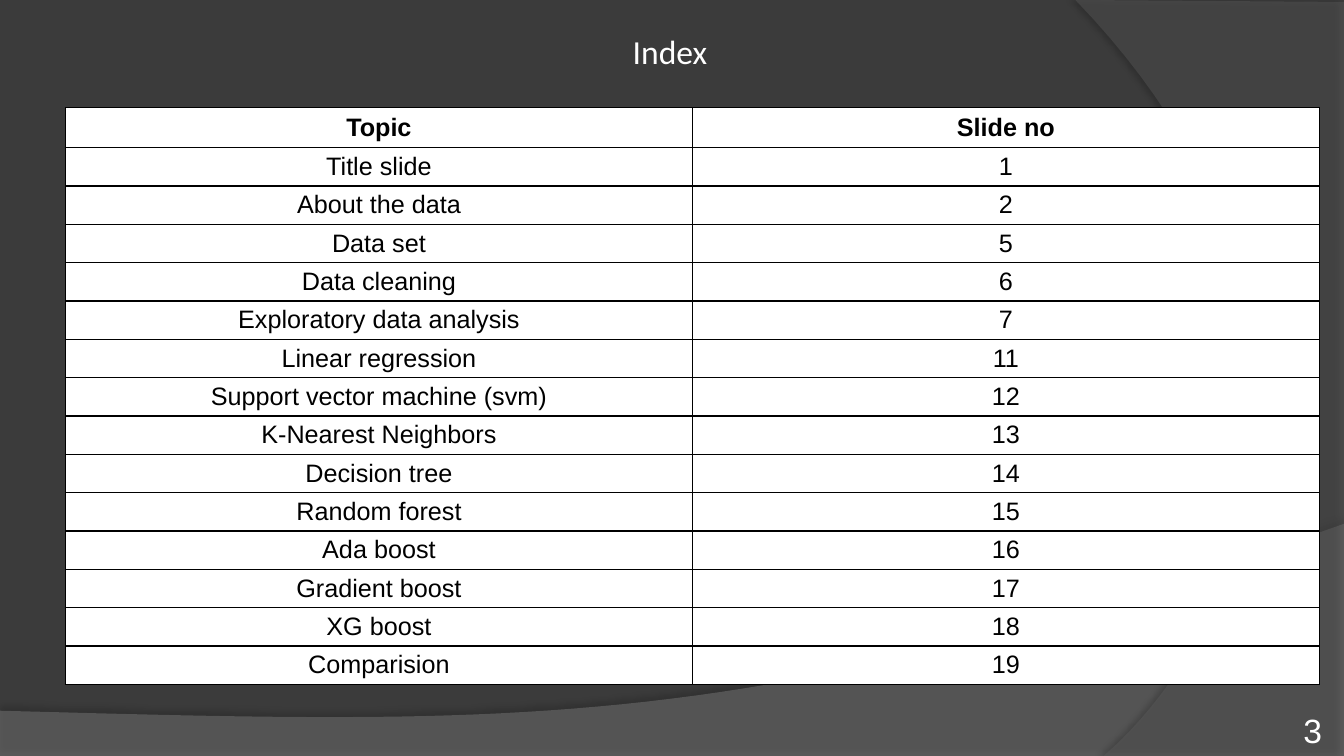
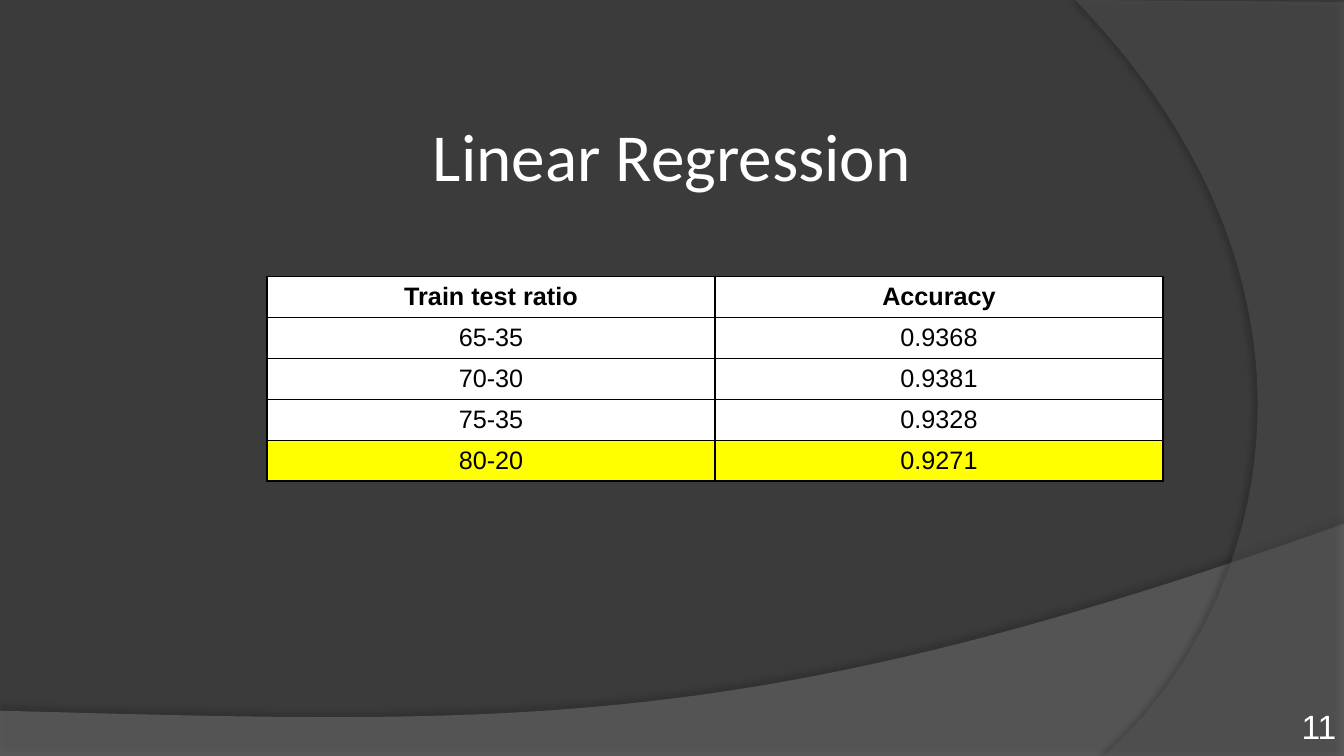
from lxml import etree
from pptx import Presentation
from pptx.dml.color import RGBColor
from pptx.enum.text import MSO_ANCHOR, PP_ALIGN
from pptx.oxml.ns import qn
from pptx.util import Cm, Pt

CENTER, RIGHT = PP_ALIGN.CENTER, PP_ALIGN.RIGHT
TOP, MIDDLE, BOTTOM = MSO_ANCHOR.TOP, MSO_ANCHOR.MIDDLE, MSO_ANCHOR.BOTTOM

SLIDE_WIDTH, SLIDE_HEIGHT = 33.87, 19.05
BACKGROUND, WAVE, ARC = "3B3B3B", "7F7F7F", "5E5E5E"
WHITE, BLACK, YELLOW = "FFFFFF", "000000", "FFFF00"
TITLE_FONT, BODY_FONT = "Calibri", "Arial"
CURVE_STEPS = 48

INDEX_ROWS = [
    ("Topic", "Slide no"),
    ("Title slide", "1"),
    ("About the data", "2"),
    ("Data set", "5"),
    ("Data cleaning", "6"),
    ("Exploratory data analysis", "7"),
    ("Linear regression", "11"),
    ("Support vector machine (svm)", "12"),
    ("K-Nearest Neighbors", "13"),
    ("Decision tree", "14"),
    ("Random forest", "15"),
    ("Ada boost", "16"),
    ("Gradient boost", "17"),
    ("XG boost", "18"),
    ("Comparision", "19"),
]
ACCURACY_ROWS = [
    ("Train test ratio", "Accuracy"),
    ("65-35", "0.9368"),
    ("70-30", "0.9381"),
    ("75-35", "0.9328"),
    ("80-20", "0.9271"),
]


def color(hex_string):
    return RGBColor.from_string(hex_string)


def set_fill(target, hex_string):
    target.fill.solid()
    target.fill.fore_color.rgb = color(hex_string)


def add_run(paragraph, text, size, font, hex_string, bold=False):
    run = paragraph.add_run()
    run.text = text
    run.font.size = Pt(size)
    run.font.name = font
    run.font.bold = bold
    run.font.color.rgb = color(hex_string)


def curve_points(start, control_1, control_2, end):
    """Points along a cubic Bezier curve, without its start."""
    points = []
    for step in range(1, CURVE_STEPS + 1):
        t = step / CURVE_STEPS
        weights = ((1 - t) ** 3, 3 * t * (1 - t) ** 2, 3 * t * t * (1 - t), t ** 3)
        anchors = (start, control_1, control_2, end)
        points.append(tuple(
            sum(weight * anchor[axis] for weight, anchor in zip(weights, anchors))
            for axis in (0, 1)))
    return points


def add_sheet(slide, corners, curve, hex_string, opacity, shadow_opacity, direction):
    """Translucent sheet: straight corners, then a curve from the last corner."""
    points = corners + curve_points(corners[-1], *curve)
    vertices = [(Cm(x), Cm(y)) for x, y in points]
    builder = slide.shapes.build_freeform(*vertices[0])
    builder.add_line_segments(vertices[1:], close=True)
    shape = builder.convert_to_shape()
    shape.line.fill.background()
    set_fill(shape, hex_string)
    properties = shape.fill._xPr
    fill_color = properties.find(qn("a:solidFill"))[0]
    etree.SubElement(fill_color, qn("a:alpha"), val=str(opacity * 1000))

    shape.shadow.inherit = False
    effects = properties.find(qn("a:effectLst"))
    shadow = etree.SubElement(
        effects, qn("a:outerShdw"), blurRad=str(Pt(4)), dist=str(Pt(4)),
        dir=str(direction * 60000), algn="ctr", rotWithShape="0")
    shadow_color = etree.SubElement(shadow, qn("a:srgbClr"), val=BLACK)
    etree.SubElement(shadow_color, qn("a:alpha"), val=str(shadow_opacity * 1000))


def add_backdrop(slide):
    right, bottom = SLIDE_WIDTH, SLIDE_HEIGHT
    add_sheet(slide, [(0, 17.91), (0, bottom), (right, bottom), (right, 13.2)],
              [(18.92, 18.52), (13.23, 18.26), (0, 17.91)], WAVE, 45, 35, 270)
    add_sheet(slide, [(right, 0.05), (right, bottom), (27.81, bottom)],
              [(31.65, 15.72), (34.47, 7.62), (27.1, 0)], ARC, 40, 45, 180)


def add_text(slide, box, text, size, font, alignment, anchor=TOP, inset=(0.25, 0.13)):
    frame = slide.shapes.add_textbox(*map(Cm, box)).text_frame
    frame.word_wrap = True
    frame.vertical_anchor = anchor
    frame.margin_left = frame.margin_right = Cm(inset[0])
    frame.margin_top = frame.margin_bottom = Cm(inset[1])
    paragraph = frame.paragraphs[0]
    paragraph.alignment = alignment
    add_run(paragraph, text, size, font, WHITE)


def add_title(slide, box, text, size):
    add_text(slide, box, text, size, TITLE_FONT, CENTER)


def add_page_number(slide, left, top, number):
    add_text(slide, (left, top, 2.82, 1.02), number, 24, BODY_FONT,
             RIGHT, BOTTOM, (0, 0))


def add_cell_borders(cell):
    properties = cell._tc.get_or_add_tcPr()
    for position, side in enumerate(("lnL", "lnR", "lnT", "lnB")):
        line = etree.Element(qn("a:" + side), w=str(Pt(1)))
        fill = etree.SubElement(line, qn("a:solidFill"))
        etree.SubElement(fill, qn("a:srgbClr"), val=BLACK)
        properties.insert(position, line)


def add_grid_table(slide, box, rows, header_height, highlighted=None):
    """Bordered table with equal columns, and equal rows below the header."""
    left, top, width, height = map(Cm, box)
    columns = len(rows[0])
    table = slide.shapes.add_table(len(rows), columns, left, top, width, height).table
    for column in table.columns:
        column.width = width // columns
    header = Cm(header_height)
    for index, values in enumerate(rows):
        table.rows[index].height = (
            header if index == 0 else (height - header) // (len(rows) - 1))
        for column, value in enumerate(values):
            cell = table.cell(index, column)
            set_fill(cell, YELLOW if index == highlighted else WHITE)
            add_cell_borders(cell)
            cell.vertical_anchor = MIDDLE
            cell.margin_top = cell.margin_bottom = Cm(0.1)
            paragraph = cell.text_frame.paragraphs[0]
            paragraph.alignment = CENTER
            add_run(paragraph, value, 18, BODY_FONT, BLACK, bold=index == 0)


def add_slide(presentation):
    slide = presentation.slides.add_slide(presentation.slide_layouts[6])
    add_backdrop(slide)
    return slide


def build_index(presentation):
    slide = add_slide(presentation)
    add_grid_table(slide, (1.65, 2.71, 31.6, 14.54), INDEX_ROWS, 1.01)
    add_title(slide, (-0.05, 0.64, SLIDE_WIDTH, 1.27), "Index", 24)
    add_page_number(slide, 30.5, 17.88, "3")


def build_linear_regression(presentation):
    slide = add_slide(presentation)
    add_title(slide, (0, 2.74, SLIDE_WIDTH, 2.31), "Linear Regression", 48)
    add_grid_table(slide, (6.73, 6.97, 22.58, 5.15), ACCURACY_ROWS, 1.03,
                   highlighted=len(ACCURACY_ROWS) - 1)
    add_page_number(slide, 30.86, 17.78, "11")


def main():
    presentation = Presentation()
    presentation.slide_width = Cm(SLIDE_WIDTH)
    presentation.slide_height = Cm(SLIDE_HEIGHT)
    set_fill(presentation.slide_master.background, BACKGROUND)
    build_index(presentation)
    build_linear_regression(presentation)
    presentation.save("out.pptx")


if __name__ == "__main__":
    main()
